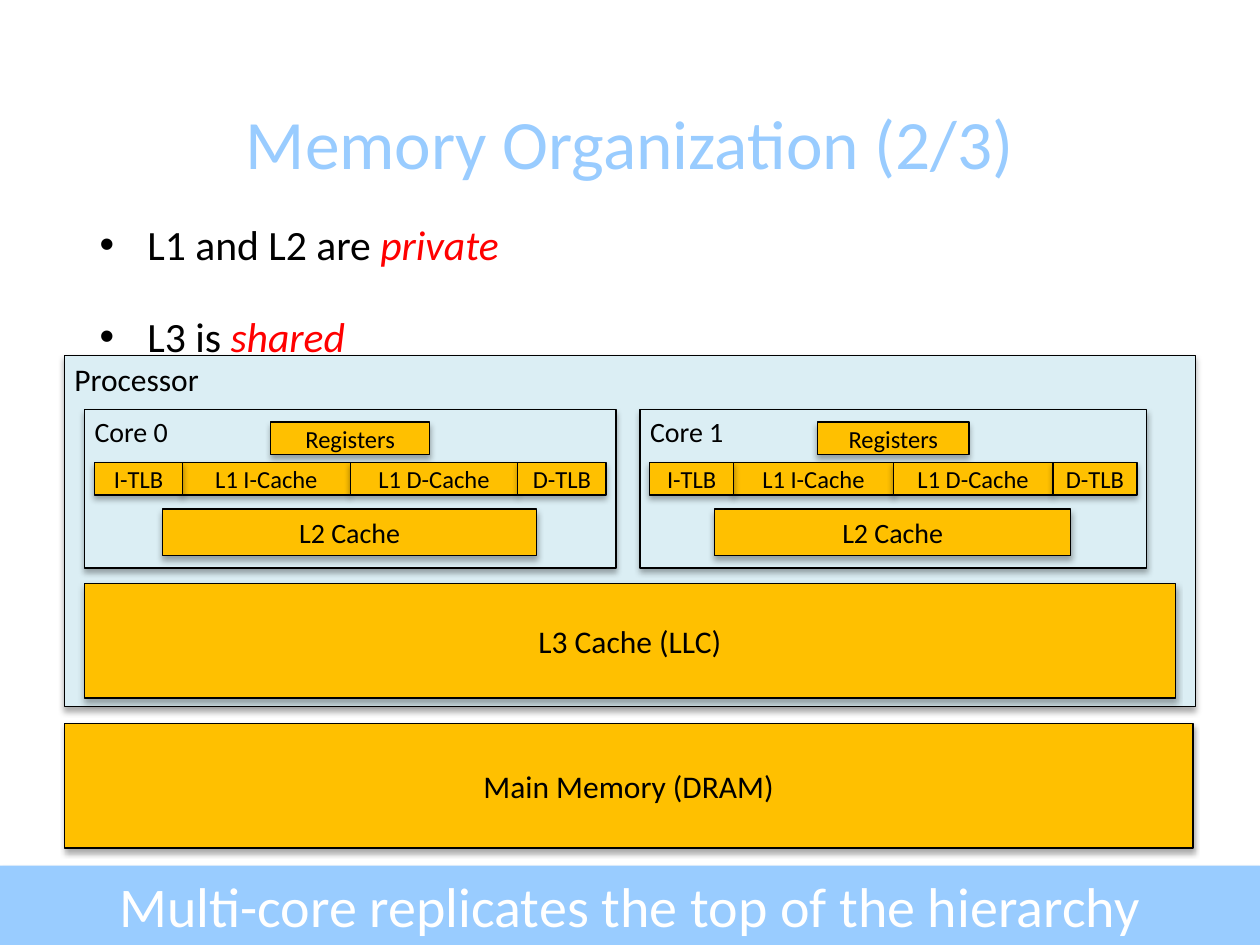
import pptx
import pptx.util
import pptx.dml.color
import pptx.enum.shapes
import pptx.enum.text
import pptx.oxml
import pptx.oxml.ns
import pptx.oxml.xmlchemy

Inches = pptx.util.Inches
Pt = pptx.util.Pt
RGBColor = pptx.dml.color.RGBColor
PP_ALIGN = pptx.enum.text.PP_ALIGN
MSO_ANCHOR = pptx.enum.text.MSO_ANCHOR
RECT = pptx.enum.shapes.MSO_SHAPE.RECTANGLE

BLACK = RGBColor(0x00, 0x00, 0x00)
WHITE = RGBColor(0xFF, 0xFF, 0xFF)
RED = RGBColor(0xFF, 0x00, 0x00)
SKY = RGBColor(0x99, 0xCC, 0xFF)
PALE = RGBColor(0xDB, 0xEE, 0xF4)
GOLD = RGBColor(0xFF, 0xC0, 0x00)
FONT = "Calibri"

TITLE = "Memory Organization (2/3)"
BULLETS = [("L1 and L2 are ", "private"), ("L3 is ", "shared")]
BANNER = "Multi-core replicates the top of the hierarchy"
BANNER_BOX = (0, 6.87, 10, 0.63)
PROCESSOR = ("Processor", (0.51, 2.82, 8.98, 2.79))
L3 = ("L3 Cache (LLC)", (0.67, 4.63, 8.66, 0.91))
MEMORY = ("Main Memory (DRAM)", (0.51, 5.74, 8.96, 0.99))
CORES = [("Core 0", 0.67, 4.22), ("Core 1", 5.08, 4.02)]
CORE_TOP, CORE_HEIGHT, CORE_UNIT = 3.25, 1.26, 4.22
CORE_PARTS = [
    ("Registers", 1.48, 0.10, 1.26, 0.26, 14),
    ("L1 I-Cache", 0.78, 0.42, 1.33, 0.26, 14),
    ("L1 D-Cache", 2.11, 0.42, 1.33, 0.26, 14),
    ("L2 Cache", 0.62, 0.79, 2.97, 0.37, 16),
    ("D-TLB", 3.44, 0.42, 0.70, 0.26, 14),
    ("I-TLB", 0.08, 0.42, 0.70, 0.26, 14),
]


def place(sp, box):
    sp.left, sp.top, sp.width, sp.height = [Inches(v) for v in box]


def style(r, size, color, italic=False):
    r.font.name = FONT
    r.font.size = Pt(size)
    r.font.color.rgb = color
    r.font.italic = italic


def set_bullet(p, indent, bullet):
    pPr = p._p.get_or_add_pPr()
    pPr.set("marL", str(Inches(indent)))
    pPr.set("indent", str(Inches(-indent)))
    bu = pptx.oxml.xmlchemy.OxmlElement("a:buChar" if bullet else "a:buNone")
    if bullet:
        bu.set("char", bullet)
    pPr.append(bu)


def add_shadow(sp, alpha, blur, dist):
    sp.shadow.inherit = False
    ns = pptx.oxml.ns.nsdecls("a")
    shadow = pptx.oxml.parse_xml(
        f'<a:outerShdw {ns} blurRad="{Pt(blur)}" dist="{Pt(dist)}" dir="5400000" '
        f'rotWithShape="0"><a:srgbClr val="000000"><a:alpha val="{alpha * 1000}"/>'
        f'</a:srgbClr></a:outerShdw>')
    sp._element.spPr.find(pptx.oxml.ns.qn("a:effectLst")).append(shadow)


def add_box(shapes, text, box, fill, size):
    sp = shapes.add_shape(RECT, *[Inches(v) for v in box])
    sp.fill.solid()
    sp.fill.fore_color.rgb = fill
    sp.line.color.rgb = BLACK
    sp.line.width = Pt(0.75)
    add_shadow(sp, 32, 3.5, 2.2)
    tf = sp.text_frame
    tf.text = text
    tf.word_wrap = text != "D-TLB"
    p = tf.paragraphs[0]
    style(p.runs[0], size, BLACK)
    if fill == PALE:
        p.alignment = PP_ALIGN.LEFT
        tf.vertical_anchor = MSO_ANCHOR.TOP
        tf.margin_left, tf.margin_top = Inches(0.08), Inches(0.04)
        tf.margin_right = Inches(0.2)
    else:
        p.alignment = PP_ALIGN.CENTER
        tf.vertical_anchor = MSO_ANCHOR.MIDDLE


def add_core(slide, name, left, width):
    group = slide.shapes.add_group_shape()
    add_box(group.shapes, name, (left, CORE_TOP, width, CORE_HEIGHT), PALE, 16)
    scale = width / CORE_UNIT
    for text, x, y, w, h, size in CORE_PARTS:
        box = (left + x * scale, CORE_TOP + y, w * scale, h)
        add_box(group.shapes, text, box, GOLD, size)


def add_texts(slide):
    title, body, banner = slide.placeholders
    for sp, box in ((title, (0.69, 0.74, 8.62, 0.77)),
                    (body, (0.69, 1.69, 8.62, 1.13)), (banner, BANNER_BOX)):
        place(sp, box)
        sp.text_frame.auto_size = pptx.enum.text.MSO_AUTO_SIZE.NONE
        sp.text_frame.word_wrap = True

    for sp, text, size, color in ((title, TITLE, 39.6, SKY), (banner, BANNER, 32, WHITE)):
        tf = sp.text_frame
        tf.text = text
        tf.vertical_anchor = MSO_ANCHOR.MIDDLE
        p = tf.paragraphs[0]
        p.alignment = PP_ALIGN.CENTER
        p.space_before = Pt(0)
        style(p.runs[0], size, color)
    banner.text_frame.margin_top = banner.text_frame.margin_bottom = 0
    set_bullet(banner.text_frame.paragraphs[0], 0, None)

    tf = body.text_frame
    for i, (plain, emphasis) in enumerate(BULLETS):
        p = tf.add_paragraph() if i else tf.paragraphs[0]
        set_bullet(p, 0.38, "•")
        p.space_before = Pt(24 if i else 0)
        for text, color in ((plain, BLACK), (emphasis, RED)):
            r = p.add_run()
            r.text = text
            style(r, 23.8, color, color == RED)


def main():
    prs = pptx.Presentation()
    prs.slide_width, prs.slide_height = Inches(10), Inches(7.5)
    slide = prs.slides.add_slide(prs.slide_layouts.get_by_name("Two Content"))
    add_texts(slide)

    band = slide.shapes.add_shape(RECT, *[Inches(v) for v in BANNER_BOX])
    band.fill.solid()
    band.fill.fore_color.rgb = SKY
    band.line.fill.background()
    add_shadow(band, 35, 3.1, 1.8)
    slide.shapes._spTree.insert(2, band._element)

    add_box(slide.shapes, *PROCESSOR, PALE, 18)
    add_box(slide.shapes, *L3, GOLD, 18)
    for core in CORES:
        add_core(slide, *core)
    add_box(slide.shapes, *MEMORY, GOLD, 18)
    prs.save("out.pptx")


if __name__ == "__main__":
    main()
